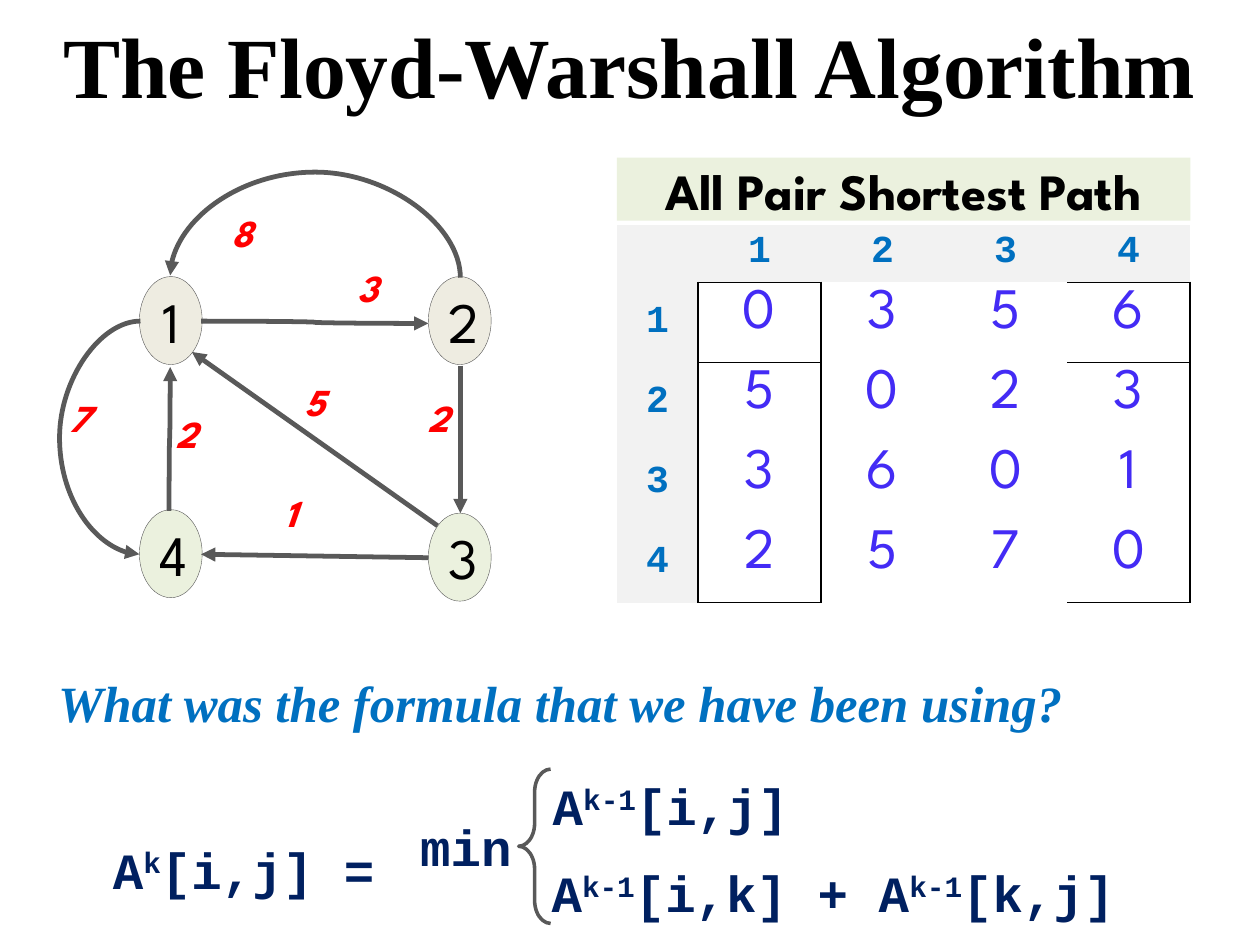
from lxml import etree
from pptx import Presentation
from pptx.dml.color import RGBColor
from pptx.enum.shapes import MSO_CONNECTOR, MSO_SHAPE
from pptx.enum.text import MSO_ANCHOR, MSO_AUTO_SIZE, PP_ALIGN
from pptx.oxml.ns import qn
from pptx.util import Inches, Pt

STRAIGHT, CURVE = MSO_CONNECTOR.STRAIGHT, MSO_CONNECTOR.CURVE
OVAL, RECTANGLE, BRACE = MSO_SHAPE.OVAL, MSO_SHAPE.RECTANGLE, MSO_SHAPE.LEFT_BRACE
TOP, MIDDLE = MSO_ANCHOR.TOP, MSO_ANCHOR.MIDDLE
LEFT, CENTER = PP_ALIGN.LEFT, PP_ALIGN.CENTER
GROW = MSO_AUTO_SIZE.SHAPE_TO_FIT_TEXT

BLACK = RGBColor(0x00, 0x00, 0x00)
GRAY = RGBColor(0x59, 0x59, 0x59)
PALE_GRAY = RGBColor(0xF2, 0xF2, 0xF2)
SAND = RGBColor(0xEE, 0xEC, 0xE1)
PALE_GREEN = RGBColor(0xEB, 0xF1, 0xDE)
RED = RGBColor(0xFF, 0x00, 0x00)
BLUE = RGBColor(0x00, 0x70, 0xC0)
NAVY = RGBColor(0x00, 0x20, 0x60)
VIOLET = RGBColor(0x43, 0x2B, 0xF5)

SPARTAN, COURIER, TIMES = "League Spartan", "Courier New", "Times New Roman"
NO_STYLE = "{2D5ABB26-0587-4C30-8999-92F81FD0307C}"

NODES = [("1", 0, 0, SAND), ("4", 0, 2.04, PALE_GREEN),
         ("2", 2.53, 0, SAND), ("3", 2.53, 2.07, PALE_GREEN)]
STRAIGHT_EDGES = [(2.61, 2.18, 0.46, 0.66), (2.81, 0.78, 2.81, 2.07),
                  (2.53, 2.46, 0.54, 2.43)]
SIDE_CURVES = [(0.54, 0.39, 2.53, 0.41, 0.5), (0.01, 0.39, 0, 2.43, 72)]
UPWARD_CURVES = [(2.81, 0.01, 0.27, -0.01, 46), (0.26, 2.05, 0.27, 0.79, 0.5)]
WEIGHTS = [("7", -0.71, 0.98), ("2", 2.42, 0.98), ("1", 1.17, 1.81), ("5", 1.35, 0.84),
           ("3", 1.81, -0.16), ("8", 0.71, -0.64), ("2", 0.22, 1.12)]
DISTANCES = ["0356", "5023", "3601", "2570"]


def add_run(paragraph, text, size, font, color, bold=True, italic=False):
    """Append one formatted run and return it."""
    run = paragraph.add_run()
    run.text = text
    run.font.size, run.font.name = Pt(size), font
    run.font.bold, run.font.italic = bold, italic
    run.font.color.rgb = color
    return run


def add_text(slide, box, text, size, font, color, align=LEFT, inset=0.1, italic=False, wrap=True):
    """Place a text box; odd parts of a text split at ^ are superscripts."""
    label = slide.shapes.add_textbox(*map(Inches, box))
    frame = label.text_frame
    frame.word_wrap, frame.auto_size = wrap, GROW
    frame.margin_left = frame.margin_right = Inches(inset)
    frame.margin_top = frame.margin_bottom = Inches(inset / 2)
    paragraph = frame.paragraphs[0]
    paragraph.alignment = align
    for index, part in enumerate(text.split("^")):
        run = add_run(paragraph, part, size, font, color, italic=italic)
        if index % 2:
            run.font._element.set("baseline", "30000")
    return paragraph


def add_plain_shape(slide, kind, box, fill=None, line_width=None):
    """Place a shadowless shape with an optional fill and gray outline."""
    shape = slide.shapes.add_shape(kind, *map(Inches, box))
    shape.shadow.inherit = False
    if fill is None:
        shape.fill.background()
    else:
        shape.fill.solid()
        shape.fill.fore_color.rgb = fill
    if line_width is None:
        shape.line.fill.background()
    else:
        shape.line.color.rgb = GRAY
        shape.line.width = Pt(line_width)
    return shape


def add_edge(slide, kind, x1, y1, x2, y2, bend=None):
    """Draw a gray arrow, bending a curved one by the given factor."""
    edge = slide.shapes.add_connector(kind, *map(Inches, (x1, y1, x2, y2)))
    edge.line.color.rgb, edge.line.width = GRAY, Pt(3)
    properties = edge._element.spPr
    etree.SubElement(properties.find(qn("a:ln")), qn("a:tailEnd"), type="triangle")
    etree.SubElement(properties, qn("a:effectLst"))
    if bend is not None:
        guides = properties.find(qn("a:prstGeom")).get_or_add_avLst()
        etree.SubElement(guides, qn("a:gd"), name="adj1", fmla=f"val {round(bend * 100000)}")
    return edge


def add_upward_curve(slide, x1, y1, x2, y2, bend):
    """Draw a curved arrow that leaves and enters vertically."""
    width, height = y1 - y2, x2 - x1
    x, y = (x1 + x2) / 2, (y1 + y2) / 2
    edge = add_edge(slide, CURVE, x - width / 2, y - height / 2,
                    x + width / 2, y + height / 2, bend)
    edge._element.spPr.find(qn("a:xfrm")).set("rot", str(270 * 60000))


def add_graph(slide, left, top):
    """Draw the weighted directed graph with node 1 at the given corner."""
    def ends(x1, y1, x2, y2):
        return left + x1, top + y1, left + x2, top + y2

    for name, x, y, fill in NODES:
        node = add_plain_shape(slide, OVAL, (left + x, top + y, 0.55, 0.77), fill, 0.25)
        paragraph = node.text_frame.paragraphs[0]
        paragraph.alignment = CENTER
        add_run(paragraph, name, 36, SPARTAN, BLACK, bold=False)
    for edge in STRAIGHT_EDGES:
        add_edge(slide, STRAIGHT, *ends(*edge))
    for *edge, bend in SIDE_CURVES:
        add_edge(slide, CURVE, *ends(*edge), bend)
    for *edge, bend in UPWARD_CURVES:
        add_upward_curve(slide, *ends(*edge), bend)
    for weight, x, y in WEIGHTS:
        add_text(slide, (left + x, top + y, 0.38, 0.62), weight, 24, SPARTAN, RED,
                 italic=True, wrap=False)


def add_cell_borders(cell, sides):
    """Draw black one-point borders on the given sides of a cell."""
    properties = cell._tc.get_or_add_tcPr()
    for index, side in enumerate(s for s in "LRTB" if s in sides):
        border = etree.Element(qn(f"a:ln{side}"), w=str(Pt(1)))
        fill = etree.SubElement(border, qn("a:solidFill"))
        etree.SubElement(fill, qn("a:srgbClr"), val=str(BLACK))
        properties.insert(index, border)


def bracket_sides(row, column, last):
    """Return the cell sides that lie on the matrix brackets."""
    sides = ""
    if row and column in (1, last):
        sides += "L" if column == 1 else "R"
        sides += {1: "T", last: "B"}.get(row, "")
    elif row and column == 0:
        sides = "R"
    elif row == 0 and column in (1, last):
        sides = "B"
    return sides


def add_distance_matrix(slide, left, top, width):
    """Place the heading bar and the bracketed matrix of distances."""
    heading = add_plain_shape(slide, RECTANGLE, (left, top, width, 0.55), PALE_GREEN)
    frame = heading.text_frame
    frame.vertical_anchor = TOP
    frame.margin_left = frame.margin_right = frame.margin_bottom = 0
    frame.margin_top = Inches(0.02)
    frame.paragraphs[0].alignment = CENTER
    add_run(frame.paragraphs[0], "All Pair Shortest Path", 32, SPARTAN, BLACK)

    last = len(DISTANCES)
    box = map(Inches, (left, top + 0.59, width, 3.29))
    matrix = slide.shapes.add_table(last + 1, last + 1, *box).table
    matrix.first_row = matrix.horz_banding = False
    matrix._tbl.tblPr.find(qn("a:tableStyleId")).text = NO_STYLE
    for index in range(last + 1):
        matrix.columns[index].width = Inches((width - 0.71) / last if index else 0.71)
        matrix.rows[index].height = Inches(0.7 if index else 0.49)
        for column in range(last + 1):
            cell = matrix.cell(index, column)
            paragraph = cell.text_frame.paragraphs[0]
            paragraph.alignment = CENTER
            if index and column:
                cell.fill.background()
                add_run(paragraph, DISTANCES[index - 1][column - 1], 36, SPARTAN, VIOLET, bold=False)
            else:
                cell.fill.solid()
                cell.fill.fore_color.rgb = PALE_GRAY
                if index or column:
                    add_run(paragraph, str(index or column), 24, COURIER, BLUE)
            cell.vertical_anchor = MIDDLE if index and not column else TOP
            add_cell_borders(cell, bracket_sides(index, column, last))


def add_formula(slide, left, top):
    """Place the recurrence with its brace and two alternatives."""
    result = add_text(slide, (left, top + 0.29, 2.76, 0.84), "A^k^[i,j] =", 32, COURIER, NAVY)
    result.line_spacing = 1.5
    for x, y, width, text in [(3.85, 0, 5.49, "A^k-1^[i,j]"),
                              (3.84, 0.76, 5.5, "A^k-1^[i,k] + A^k-1^[k,j]"),
                              (2.69, 0.36, 1.03, "min")]:
        add_text(slide, (left + x, top + y, width, 0.64), text, 32, COURIER, NAVY)
    brace = add_plain_shape(slide, BRACE, (left + 3.65, top, 0.28, 1.35), line_width=2.25)
    brace.adjustments[0], brace.adjustments[1] = 0.72, 0.5


def main():
    """Build the slide and save it."""
    deck = Presentation()
    deck.slide_width, deck.slide_height = Inches(11.03), Inches(8.26)
    slide = deck.slides.add_slide(deck.slide_layouts[6])
    add_graph(slide, 1.22, 2.42)
    add_text(slide, (0.07, 0.11, 10.88, 0.92), "The Floyd-Warshall Algorithm", 54,
             TIMES, BLACK, CENTER, inset=0)
    add_distance_matrix(slide, 5.4, 1.38, 5.02)
    add_formula(slide, 0.89, 6.73)
    add_text(slide, (0.51, 5.88, 9.91, 0.55), "What was the formula that we have been using?",
             32, TIMES, BLUE, inset=0, italic=True)
    deck.save("out.pptx")


if __name__ == "__main__":
    main()
